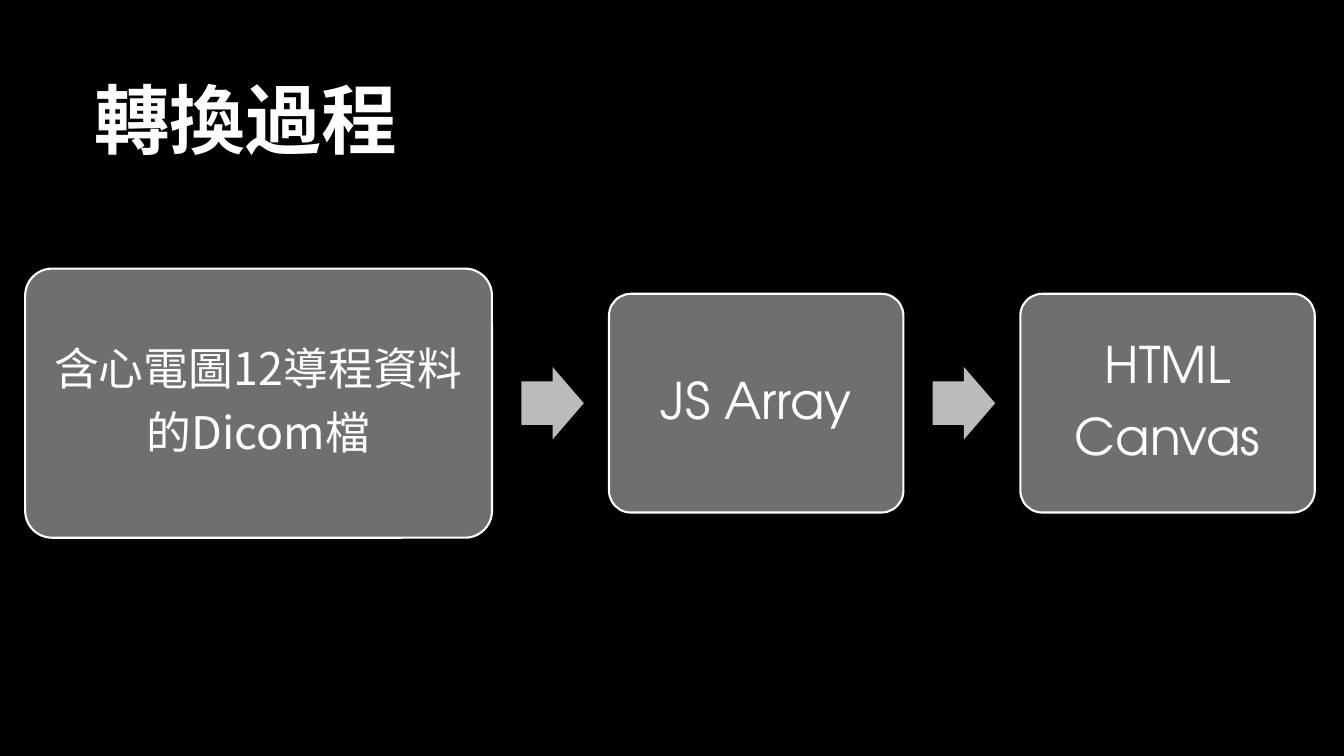
import pptx
import pptx.dml.color
import pptx.enum.shapes
import pptx.enum.text
import pptx.oxml.ns
import pptx.util
from lxml import etree

Inches, Pt = pptx.util.Inches, pptx.util.Pt
RGBColor = pptx.dml.color.RGBColor
MSO_SHAPE = pptx.enum.shapes.MSO_SHAPE
PP_ALIGN = pptx.enum.text.PP_ALIGN
MSO_ANCHOR = pptx.enum.text.MSO_ANCHOR

BLACK = RGBColor(0x00, 0x00, 0x00)
WHITE = RGBColor(0xFF, 0xFF, 0xFF)
BOX_GRAY = RGBColor(0x6F, 0x6F, 0x6F)
ARROW_GRAY = RGBColor(0xBB, 0xBB, 0xBB)
CJK_FONT = "Noto Sans CJK SC"
LATIN_FONT = "TeX Gyre Adventor"

SLIDE_W, SLIDE_H = 13.33, 7.5
ARROW_W, ARROW_H = 0.62, 0.72
GAP_BEFORE_ARROW, GAP_AFTER_ARROW = 0.29, 0.25

STEPS = [
    (4.63, 2.67, ["含心電圖12導程資料", "的Dicom檔"], CJK_FONT, 32, 0.13),
    (2.92, 2.17, ["JS Array"], LATIN_FONT, 36, 0.15),
    (2.92, 2.17, ["HTML", "Canvas"], LATIN_FONT, 36, 0.15),
]


def style_paragraph(p, font, size, bold=False):
    """Centre a paragraph and set its white font for Latin and Chinese text."""
    p.alignment = PP_ALIGN.CENTER
    p.font.name = font
    p.font.size = Pt(size)
    p.font.bold = bold
    p.font.color.rgb = WHITE
    latin = p.font._element.find(pptx.oxml.ns.qn("a:latin"))
    ea = etree.Element(pptx.oxml.ns.qn("a:ea"), typeface=font)
    latin.addnext(ea)


def add_title(s, left, top, width, height):
    """Place the slide title in its placeholder."""
    title = s.shapes.title
    title.left, title.top = Inches(left), Inches(top)
    title.width, title.height = Inches(width), Inches(height)
    tf = title.text_frame
    tf.text = "轉換過程"
    tf.vertical_anchor = MSO_ANCHOR.BOTTOM
    style_paragraph(tf.paragraphs[0], CJK_FONT, 54, bold=True)


def add_filled(s, kind, left, middle, width, height, color):
    """Add a flat shape centred vertically on the given middle."""
    sp = s.shapes.add_shape(kind, Inches(left), Inches(middle - height / 2),
                            Inches(width), Inches(height))
    sp.shadow.inherit = False
    sp.fill.solid()
    sp.fill.fore_color.rgb = color
    return sp


def add_step(s, left, middle, width, height, lines, font, size, inset):
    """Add one rounded step box with its lines of text."""
    sp = add_filled(s, MSO_SHAPE.ROUNDED_RECTANGLE, left, middle, width, height, BOX_GRAY)
    sp.adjustments[0] = 0.1
    sp.line.color.rgb = WHITE
    sp.line.width = Pt(1.5)
    tf = sp.text_frame
    tf.word_wrap = True
    tf.vertical_anchor = MSO_ANCHOR.MIDDLE
    tf.margin_left = tf.margin_right = tf.margin_top = tf.margin_bottom = Inches(inset)
    tf.text = "\n".join(lines)
    for p in tf.paragraphs:
        style_paragraph(p, font, size)
        p.line_spacing = 0.9
        p.space_after = Pt(0.35 * size)


def add_arrow(s, left, middle):
    """Add one block arrow between two steps."""
    sp = add_filled(s, MSO_SHAPE.RIGHT_ARROW, left, middle, ARROW_W, ARROW_H, ARROW_GRAY)
    sp.adjustments[0] = 0.6
    sp.line.fill.background()


def add_process(s, left, middle):
    """Lay out the steps from left to right with arrows between them."""
    for i, (width, height, *text) in enumerate(STEPS):
        if i:
            add_arrow(s, left + GAP_BEFORE_ARROW, middle)
            left += GAP_BEFORE_ARROW + ARROW_W + GAP_AFTER_ARROW
        add_step(s, left, middle, width, height, *text)
        left += width


def main():
    """Build and save the slide."""
    prs = pptx.Presentation()
    prs.slide_width, prs.slide_height = Inches(SLIDE_W), Inches(SLIDE_H)
    s = prs.slides.add_slide(prs.slide_layouts[5])
    s.background.fill.solid()
    s.background.fill.fore_color.rgb = BLACK
    add_title(s, 0.6, 0.58, 3.67, 1.09)
    add_process(s, 0.25, 4)
    prs.save("out.pptx")


if __name__ == "__main__":
    main()
